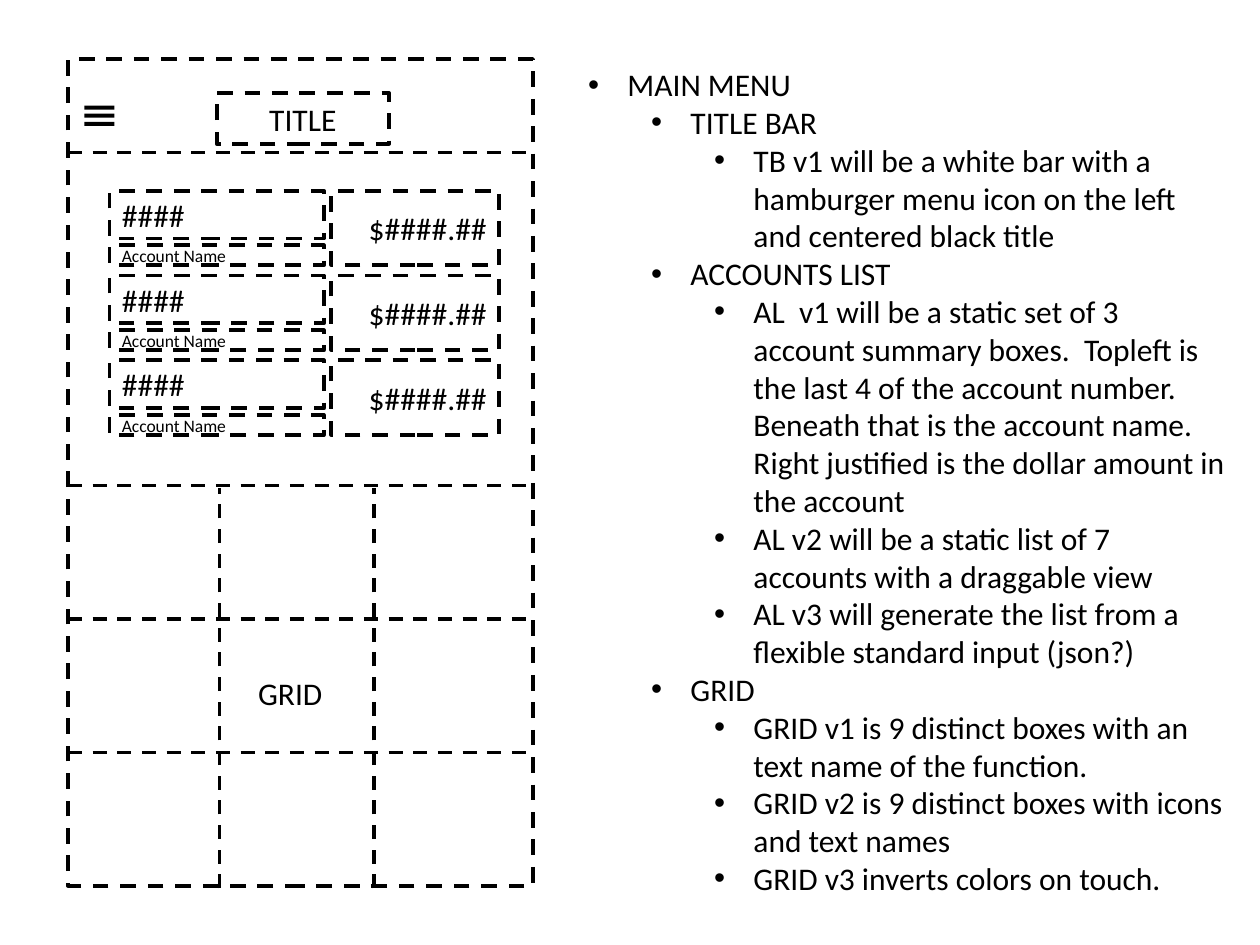
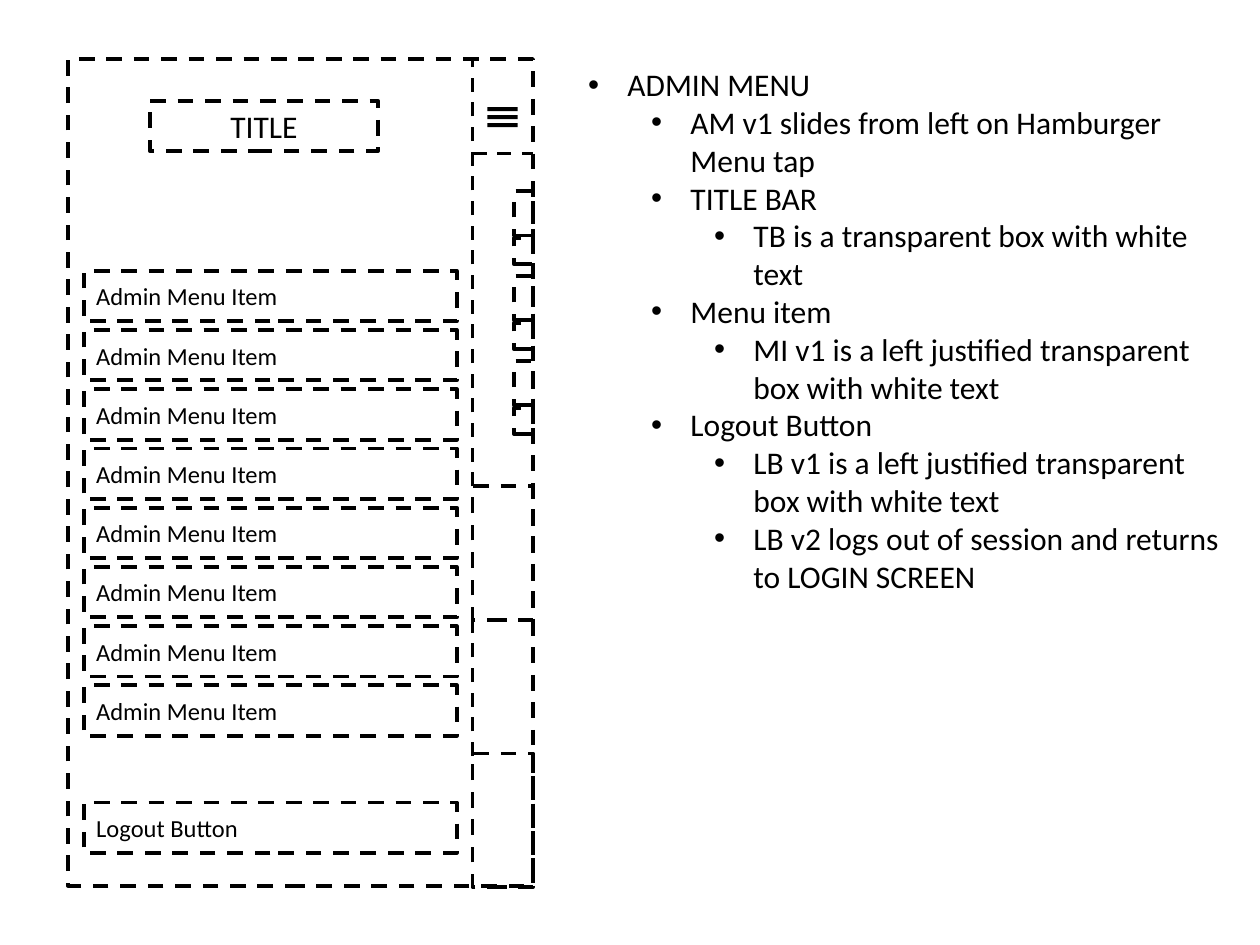
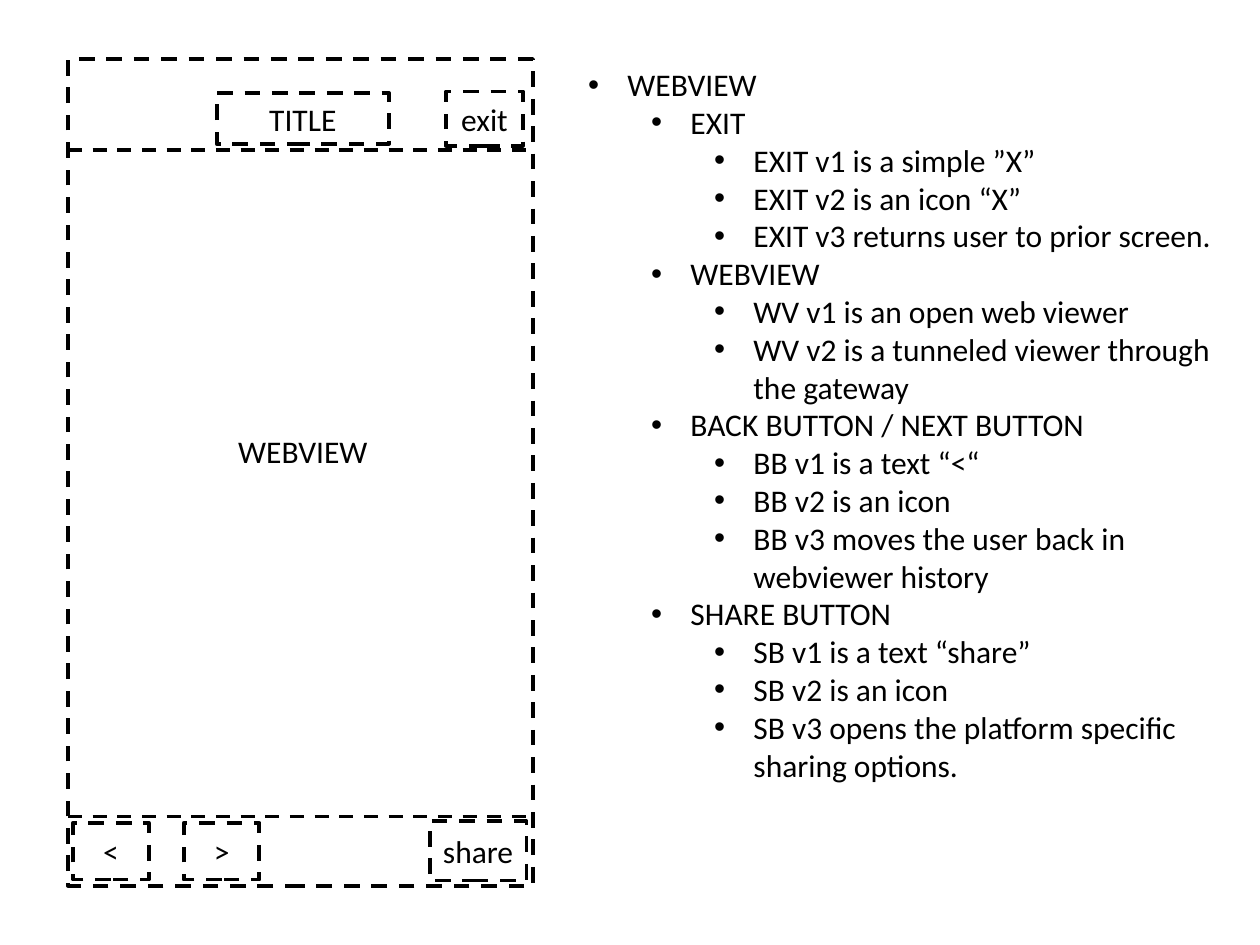
from dataclasses import dataclass

from lxml import etree
from pptx import Presentation
from pptx.dml.color import RGBColor
from pptx.enum.dml import MSO_LINE
from pptx.enum.shapes import MSO_CONNECTOR, MSO_SHAPE
from pptx.enum.text import MSO_ANCHOR, MSO_AUTO_SIZE, PP_ALIGN
from pptx.oxml.ns import qn
from pptx.util import Pt

DASH = MSO_LINE.DASH
STRAIGHT = MSO_CONNECTOR.STRAIGHT
RECTANGLE = MSO_SHAPE.RECTANGLE
MIDDLE, TOP = MSO_ANCHOR.MIDDLE, MSO_ANCHOR.TOP
GROW = MSO_AUTO_SIZE.SHAPE_TO_FIT_TEXT
LEFT, CENTER, RIGHT = PP_ALIGN.LEFT, PP_ALIGN.CENTER, PP_ALIGN.RIGHT


@dataclass(frozen=True)
class Theme:
    """Colours, font, type sizes and line weights shared by all slides."""
    ink: RGBColor = RGBColor(0, 0, 0)
    font: str = "Calibri"
    body: float = 18
    item: float = 14
    small: float = 10
    outline: float = 2.25
    divider: float = 2


THEME = Theme()

# The phone screen drawn on every slide
SCREEN_LEFT, SCREEN_TOP, SCREEN_WIDTH, SCREEN_HEIGHT = 38.9, 33.8, 265.7, 472.3
SCREEN_RIGHT = SCREEN_LEFT + SCREEN_WIDTH
TITLE_BOX = (123.8, 53.3, 98.6, 28.8)
ACCOUNT_COUNT, ACCOUNT_PITCH = 3, 48.5
GRID_TOP, CELL_HEIGHT = 277.5, 76.3

MAIN_MENU_NOTES = [
    (0, "MAIN MENU"),
    (1, "TITLE BAR"),
    (2, "TB v1 will be a white bar with a hamburger menu icon on the left "
        "and centered black title"),
    (1, "ACCOUNTS LIST"),
    (2, "AL  v1 will be a static set of 3 account summary boxes.  Topleft is "
        "the last 4 of the account number. Beneath that is the account name. "
        "Right justified is the dollar amount in the account"),
    (2, "AL v2 will be a static list of 7 accounts with a draggable view "),
    (2, "AL v3 will generate the list from a flexible standard input (json?)"),
    (1, "GRID"),
    (2, "GRID v1 is 9 distinct boxes with an text name of the function."),
    (2, "GRID v2 is 9 distinct boxes with icons and text names"),
    (2, "GRID v3 inverts colors on touch."),
]
ADMIN_MENU_NOTES = [
    (0, "ADMIN MENU"),
    (1, "AM v1 slides from left on Hamburger Menu tap"),
    (1, "TITLE BAR"),
    (2, "TB is a transparent box with white text"),
    (1, "Menu item"),
    (2, "MI v1 is a left justified transparent box with white text"),
    (1, "Logout Button"),
    (2, "LB v1 is a left justified transparent box with white text"),
    (2, "LB v2 logs out of session and returns to LOGIN SCREEN"),
]
WEBVIEW_NOTES = [
    (0, "WEBVIEW"),
    (1, "EXIT"),
    (2, "EXIT v1 is a simple ”X”"),
    (2, "EXIT v2 is an icon “X”"),
    (2, "EXIT v3 returns user to prior screen."),
    (1, "WEBVIEW "),
    (2, "WV v1 is an open web viewer"),
    (2, "WV v2 is a tunneled viewer through the gateway"),
    (1, "BACK BUTTON / NEXT BUTTON"),
    (2, "BB v1 is a text “<“ "),
    (2, "BB v2 is an icon"),
    (2, "BB v3 moves the user back in webviewer history"),
    (1, "SHARE BUTTON"),
    (2, "SB v1 is a text “share”"),
    (2, "SB v2 is an icon"),
    (2, "SB v3 opens the platform specific sharing options."),
]


def points(*lengths):
    """Turn plain numbers into point lengths."""
    return [Pt(length) for length in lengths]


def write(paragraph, text, size=THEME.body, align=LEFT):
    """Put formatted text in a paragraph."""
    paragraph.alignment = align
    run = paragraph.add_run()
    run.text = text
    run.font.name = THEME.font
    run.font.size = Pt(size)
    run.font.color.rgb = THEME.ink


def style_line(line, width):
    """Make a line dashed, in the ink colour."""
    line.color.rgb = THEME.ink
    line.width = Pt(width)
    line.dash_style = DASH


def add_box(slide, left, top, width, height, text="", **text_format):
    """Add a dashed wireframe box, with text if any."""
    shape = slide.shapes.add_shape(RECTANGLE, *points(left, top, width, height))
    shape.shadow.inherit = False
    shape.fill.background()
    style_line(shape.line, THEME.outline)
    if text:
        shape.text_frame.vertical_anchor = MIDDLE
        write(shape.text_frame.paragraphs[0], text, **text_format)


def add_divider(slide, *ends):
    """Add a dashed line from (x1, y1) to (x2, y2)."""
    connector = slide.shapes.add_connector(STRAIGHT, *points(*ends))
    style_line(connector.line, THEME.divider)
    etree.SubElement(connector._element.spPr, qn("a:effectLst"))


def add_text_box(slide, left, top, width, height, anchor):
    """Add a wrapping text box and return its text frame."""
    shape = slide.shapes.add_textbox(*points(left, top, width, height))
    shape.text_frame.word_wrap = True
    shape.text_frame.vertical_anchor = anchor
    return shape.text_frame


def add_label(slide, left, top, text):
    """Add a centred label without an outline, as large as the title box."""
    frame = add_text_box(slide, left, top, *TITLE_BOX[2:], MIDDLE)
    write(frame.paragraphs[0], text, align=CENTER)


def add_hamburger(slide, left, top):
    """Add the three grouped bars of the menu icon."""
    group = slide.shapes.add_group_shape()
    for index in range(3):
        bar = group.shapes.add_shape(
            RECTANGLE, *points(left, top + 4.6 * index, 17.3, 2.3))
        bar.shadow.inherit = False
        bar.fill.solid()
        bar.fill.fore_color.rgb = THEME.ink
        bar.line.fill.background()


def add_notes_list(slide, height, notes):
    """Add the bulleted description at the right of the screen."""
    frame = add_text_box(slide, 329, SCREEN_TOP, 378.7, height, TOP)
    frame.auto_size = GROW
    for index, (level, text) in enumerate(notes):
        paragraph = frame.add_paragraph() if index else frame.paragraphs[0]
        paragraph.level = level
        write(paragraph, text)
        properties = paragraph._p.get_or_add_pPr()
        properties.set("marL", str(Pt(22.5 + 36 * level)))
        properties.set("indent", str(Pt(-22.5)))
        etree.SubElement(properties, qn("a:buFont")).set("typeface", "Arial")
        etree.SubElement(properties, qn("a:buChar")).set("char", "•")


def add_screen_slide(presentation):
    """Add a slide holding the empty phone screen."""
    slide = presentation.slides.add_slide(presentation.slide_layouts[6])
    add_box(slide, SCREEN_LEFT, SCREEN_TOP, SCREEN_WIDTH, SCREEN_HEIGHT)
    return slide


def add_account(slide, top):
    """Add one account summary: amount, number and name."""
    add_box(slide, 189.4, top, 95.8, 42.5, "$####.##", align=RIGHT)
    add_box(slide, 62.6, top, 122.4, 27.4, "####")
    add_box(slide, 62.6, top + 31.3, 122.4, 11.5, "Account Name", size=THEME.small)


def build_main_menu(presentation):
    """Main menu: title bar, account list and grid of functions."""
    slide = add_screen_slide(presentation)
    for index in range(ACCOUNT_COUNT):
        add_account(slide, 108.9 + ACCOUNT_PITCH * index)
    add_box(slide, *TITLE_BOX, "TITLE", align=CENTER)
    add_hamburger(slide, 48.2, 60.4)
    add_divider(slide, SCREEN_LEFT, 87.2, SCREEN_RIGHT, 87.2)
    for index in range(3):
        y = GRID_TOP + CELL_HEIGHT * index
        add_divider(slide, SCREEN_LEFT, y, SCREEN_RIGHT, y)
    for index in range(2):
        x = 125.5 + 88.3 * index
        add_divider(slide, x, 507.6, x, 278.6)
    add_notes_list(slide, 487.4, MAIN_MENU_NOTES)
    add_label(slide, 116.6, 381.6, "GRID")


def build_admin_menu(presentation):
    """Admin menu: panel of items that pushes the main menu aside."""
    slide = add_screen_slide(presentation)
    panel_right = 270
    strip_width = SCREEN_RIGHT - panel_right
    for row in (2, 0):
        add_box(slide, panel_right, GRID_TOP + 0.5 + CELL_HEIGHT * row,
                strip_width, CELL_HEIGHT)
    for index in range(ACCOUNT_COUNT):
        top = 109.4 + ACCOUNT_PITCH * index
        add_box(slide, 293.8, top, 10.8, 25.2)
        add_box(slide, 293.8, top + 26.6, 10.8, 15.1)
    add_hamburger(slide, 278.6, 61.2)
    add_box(slide, 85.7, 57.6, 130.3, 28.8, "TITLE", align=CENTER)
    item_tops = [154.8 + 33.84 * index for index in range(8)]
    items = [(top, "Admin Menu Item") for top in item_tops]
    for top, text in items + [(458.6, "Logout Button")]:
        add_box(slide, 47.9, top, 213.1, 28.8, text, size=THEME.item)
    add_divider(slide, panel_right, 87.8, SCREEN_RIGHT, 87.8)
    add_divider(slide, panel_right, 277.9, panel_right, 34.6)
    add_divider(slide, panel_right, 432, panel_right, 354.2)
    add_notes_list(slide, 312.5, ADMIN_MENU_NOTES)


def build_webview(presentation):
    """Web view: title bar, page area and button bar."""
    slide = add_screen_slide(presentation)
    buttons = [
        ("<", 41.8, 470.2, 43.2, 32.4),
        ("share", 245.5, 469.4, 55.4, 33.8),
        ("TITLE", *TITLE_BOX),
        (">", 105.1, 470.2, 43.2, 32.4),
        ("exit", 254.9, 52.3, 43.9, 31),
    ]
    for text, *place in buttons:
        add_box(slide, *place, text, align=CENTER)
    for y in (466.6, 85.7):
        add_divider(slide, SCREEN_LEFT, y, SCREEN_RIGHT, y)
    add_label(slide, TITLE_BOX[0], 243.4, "WEBVIEW")
    add_notes_list(slide, 465.1, WEBVIEW_NOTES)


def main():
    """Build the three slides and save them."""
    presentation = Presentation()
    presentation.slide_width, presentation.slide_height = points(720, 540)
    build_main_menu(presentation)
    build_admin_menu(presentation)
    build_webview(presentation)
    presentation.save("out.pptx")


main()
